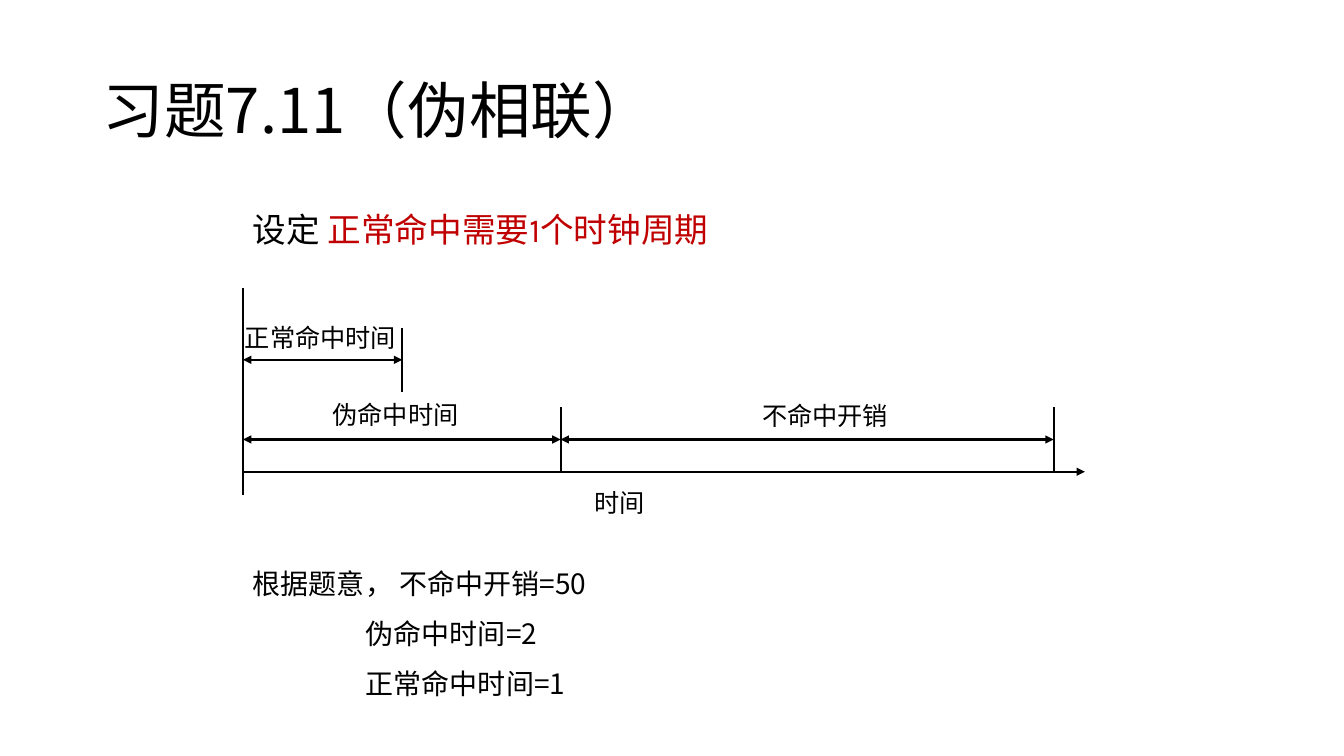
from lxml import etree
from pptx import Presentation
from pptx.dml.color import RGBColor
from pptx.enum.shapes import MSO_CONNECTOR
from pptx.enum.text import MSO_ANCHOR
from pptx.oxml.ns import qn
from pptx.util import Inches, Pt

STRAIGHT = MSO_CONNECTOR.STRAIGHT
TOP, MIDDLE = MSO_ANCHOR.TOP, MSO_ANCHOR.MIDDLE

THEME = {
    "ink": RGBColor(0x00, 0x00, 0x00),
    "accent": RGBColor(0xC0, 0x00, 0x00),
    "cjk": "Noto Sans CJK SC",
    "latin": "Karla",
    "title": 44,
    "premise": 24,
    "body": 20,
    "label": 18,
    "line": 1.5,
}

prs = Presentation()
prs.slide_width, prs.slide_height = Inches(13.33), Inches(7.5)
s = prs.slides.add_slide(prs.slide_layouts[6])


def add_text(box, lines, size, font=THEME["cjk"], spacing=1.0, anchor=TOP):
    """Each line is a list of (text, colour) runs; returns the paragraphs."""
    tf = s.shapes.add_textbox(*map(Inches, box)).text_frame
    tf.word_wrap = True
    tf.vertical_anchor = anchor
    for i, runs in enumerate(lines):
        p = tf.paragraphs[0] if i == 0 else tf.add_paragraph()
        p.line_spacing = spacing
        p.font.size = Pt(size)
        p.font.color.rgb = THEME["ink"]
        p.font.name = font
        east_asian = etree.SubElement(p._p.pPr.find(qn("a:defRPr")), qn("a:ea"))
        east_asian.set("typeface", THEME["cjk"])
        for text, colour in runs:
            r = p.add_run()
            r.text = text
            if colour != THEME["ink"]:
                r.font.color.rgb = colour
    return tf.paragraphs


def add_line(x1, y1, x2, y2, *arrow_ends):
    """Arrow ends are "headEnd" (at the start) and "tailEnd" (at the end)."""
    sp = s.shapes.add_connector(STRAIGHT, *map(Inches, (x1, y1, x2, y2)))
    sp.line.color.rgb = THEME["ink"]
    sp.line.width = Pt(THEME["line"])
    for end in arrow_ends:
        etree.SubElement(sp.line._ln, qn(f"a:{end}")).set("type", "triangle")
    etree.SubElement(sp._element.spPr, qn("a:effectLst"))


ink, accent = THEME["ink"], THEME["accent"]

# Title and premise
add_text((0.92, 0.4, 11.5, 1.45), [[("习题7.11（伪相联）", ink)]],
         THEME["title"], spacing=0.9, anchor=MIDDLE)
origin = 2.41
add_text((origin, 2.02, 6.3, 0.51),
         [[("设定 ", ink), ("正常命中需要1个时钟周期", accent)]],
         THEME["premise"], font=THEME["latin"])

# Time axis
axis_y, half_tick = 4.68, 0.32
normal_hit, pseudo_hit, miss_end = 3.99, 5.56, 10.45
add_line(origin, 2.86, origin, 4.91)
add_line(origin, axis_y, 10.76, axis_y, "tailEnd")

# Spans: start, end, height of the arrow
lower_y, upper_y = axis_y - half_tick, 3.57
for start, end, y in [
    (origin, normal_hit, upper_y),
    (origin, pseudo_hit, lower_y),
    (pseudo_hit, miss_end, lower_y),
]:
    add_line(end, y - half_tick, end, y + half_tick)
    add_line(start, y, end, y, "headEnd", "tailEnd")

# Labels: text, left, top, width
for text, left, top, width in [
    ("正常命中时间", 2.33, 3.15, 1.89),
    ("伪命中时间", 3.2, 3.91, 1.89),
    ("不命中开销", 7.46, 3.92, 1.89),
    ("时间", 5.8, 4.79, 1.02),
]:
    add_text((left, top, width, 0.4), [[(text, ink)]], THEME["label"])

# Given values, the last two indented
values = ["根据题意， 不命中开销=50", "伪命中时间=2", "正常命中时间=1"]
paragraphs = add_text((origin, 5.4, 7.56, 1.62), [[(v, ink)] for v in values],
                      THEME["body"], spacing=1.5)
for p in paragraphs[1:]:
    p._p.pPr.set("marL", str(Inches(1.12)))

prs.save("out.pptx")
